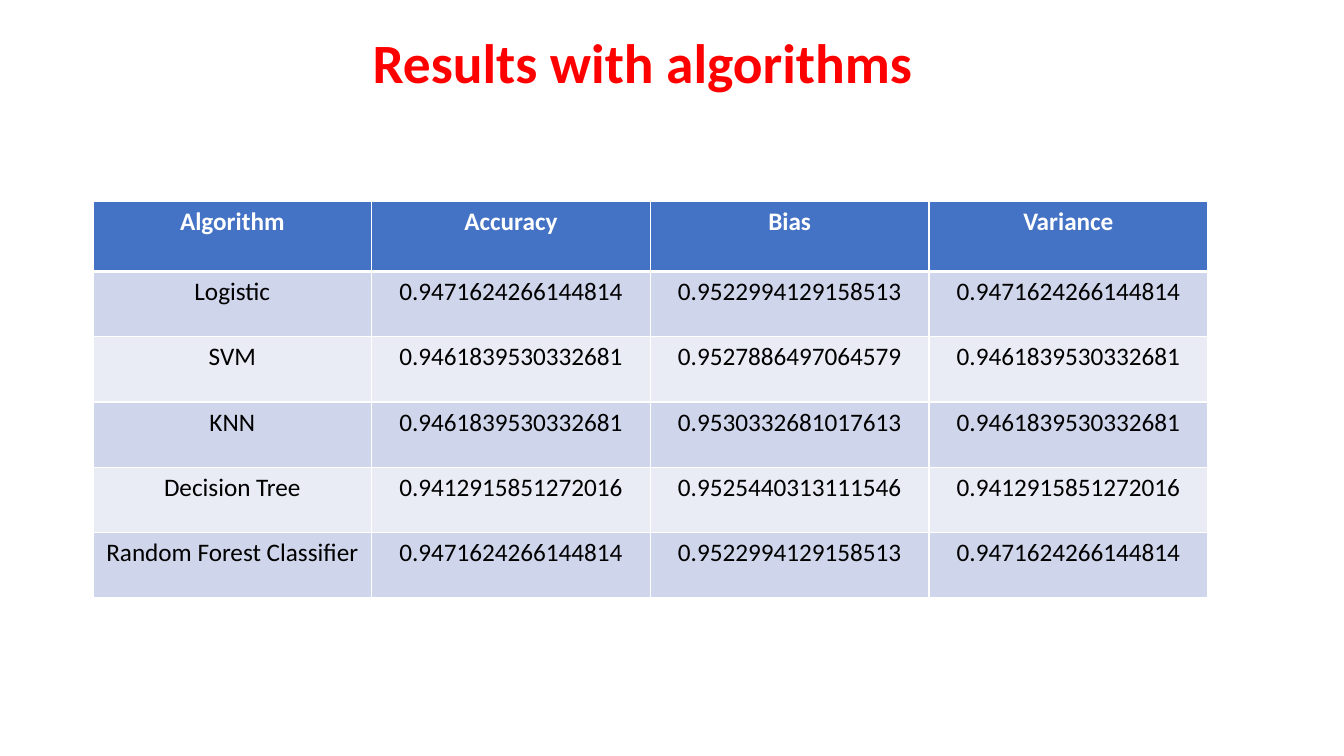
import pptx
import pptx.util
import pptx.dml.color
import pptx.enum.text
import lxml.etree

Pt = pptx.util.Pt
COLORS = {
    "title": "FF0000",
    "header": "4472C4",
    "odd": "CFD5EA",
    "even": "E9EBF5",
    "text": "000000",
    "white": "FFFFFF",
}
RESULTS = [
    ("Algorithm", "Accuracy", "Bias", "Variance"),
    ("Logistic", "0.9471624266144814", "0.9522994129158513", "0.9471624266144814"),
    ("SVM", "0.9461839530332681", "0.9527886497064579", "0.9461839530332681"),
    ("KNN", "0.9461839530332681", "0.9530332681017613", "0.9461839530332681"),
    ("Decision Tree", "0.9412915851272016", "0.9525440313111546", "0.9412915851272016"),
    ("Random Forest Classifier", "0.9471624266144814", "0.9522994129158513", "0.9471624266144814"),
]
DRAWING = "{http://schemas.openxmlformats.org/drawingml/2006/main}"


def write_text(para, text, color, formats):
    para.alignment = pptx.enum.text.PP_ALIGN.CENTER
    span = para.add_run()
    span.text = text
    for name, value in formats.items():
        setattr(span.font, name, value)
    span.font.color.rgb = pptx.dml.color.RGBColor.from_string(COLORS[color])


def add_borders(cell, widths):
    properties = cell._tc.get_or_add_tcPr()
    for index, (side, width) in enumerate(widths.items()):
        line = lxml.etree.Element(DRAWING + side, w=str(Pt(width)))
        fill = lxml.etree.SubElement(line, DRAWING + "solidFill")
        lxml.etree.SubElement(fill, DRAWING + "srgbClr", val=COLORS["white"])
        properties.insert(index, line)


deck = pptx.Presentation()
deck.slide_width = Pt(960)
deck.slide_height = Pt(540)
page = deck.slides.add_slide(deck.slide_layouts[5])

title = page.shapes.title
place = {"left": Pt(214.5), "top": Pt(24.5), "width": Pt(489), "height": Pt(44.6)}
for name, value in place.items():
    setattr(title, name, value)
frame_format = {
    "word_wrap": True,
    "auto_size": pptx.enum.text.MSO_AUTO_SIZE.NONE,
    "vertical_anchor": pptx.enum.text.MSO_ANCHOR.MIDDLE,
}
for name, value in frame_format.items():
    setattr(title.text_frame, name, value)
heading = title.text_frame.paragraphs[0]
heading.line_spacing = 0.9
write_text(heading, "Results with algorithms", "title",
           {"name": "Calibri", "size": Pt(39.6), "bold": True})

table = page.shapes.add_table(
    len(RESULTS), len(RESULTS[0]), Pt(66.4), Pt(144), Pt(796.4), Pt(283)).table
for column in table.columns:
    column.width = Pt(199.1)

for row_index, values in enumerate(RESULTS):
    is_header = row_index == 0
    table.rows[row_index].height = Pt(50 if is_header else 46.6)
    band = "header" if is_header else ("odd" if row_index % 2 else "even")
    for column_index, value in enumerate(values):
        cell = table.cell(row_index, column_index)
        cell.fill.solid()
        cell.fill.fore_color.rgb = pptx.dml.color.RGBColor.from_string(COLORS[band])
        write_text(cell.text_frame.paragraphs[0], value, "white" if is_header else "text",
                   {"name": "Calibri", "size": Pt(18), "bold": is_header})
        add_borders(cell, {"lnL": 1, "lnR": 1, "lnT": 3 if row_index == 1 else 1,
                           "lnB": 3 if is_header else 1})

deck.save("out.pptx")
